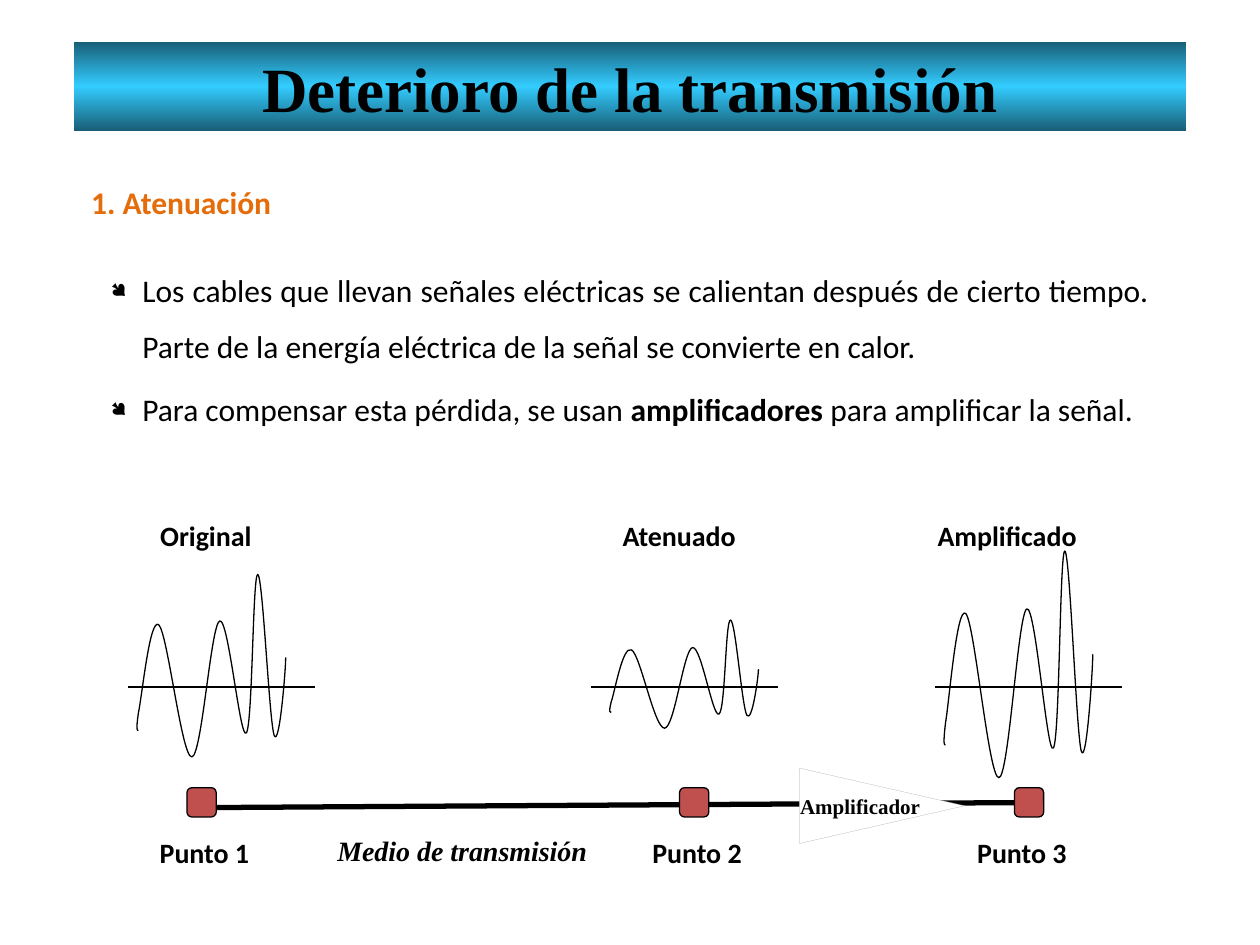
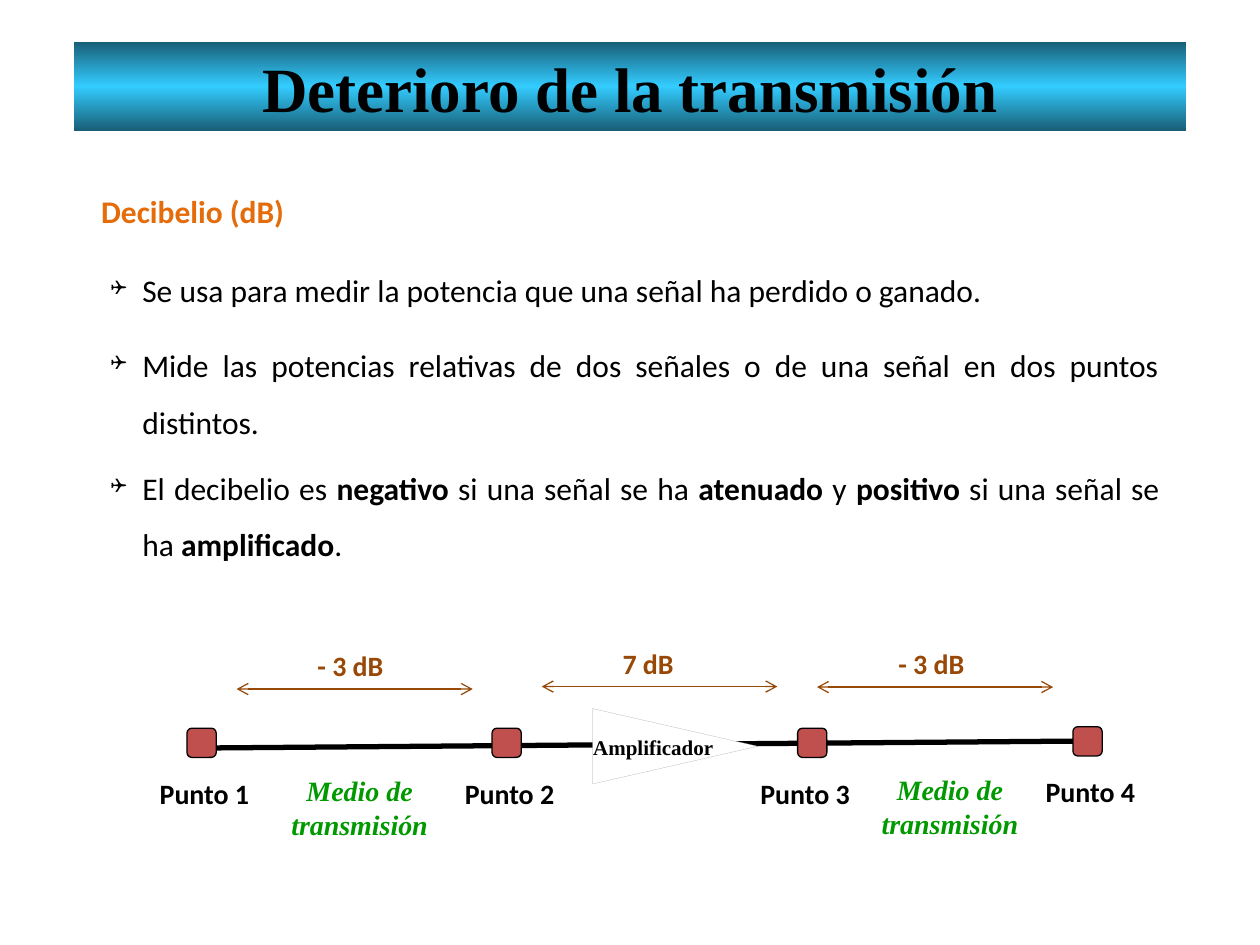
from copy import deepcopy
from pptx import Presentation
from pptx.dml.color import RGBColor
from pptx.enum.shapes import MSO_CONNECTOR, MSO_SHAPE
from pptx.enum.text import MSO_ANCHOR, PP_ALIGN
from pptx.oxml.ns import qn
from pptx.oxml.xmlchemy import OxmlElement
from pptx.util import Cm, Pt

SANS, SERIF = "Calibri", "Times New Roman"
BLACK, WHITE, GRAY = "000000", "FFFFFF", "A6A6A6"
ORANGE, BROWN, GREEN, RED = "E46C0A", "984807", "009900", "C0504D"
BAND = [(0, "185E76"), (0.5, "33CCFF"), (1, "185E76")]

# Signal curve: start point, then Bezier triples, on a 118 x 145 grid
START = (2, 124)
CURVE = [
    (1, 124), (0, 124), (2, 110),
    (5, 96), (11, 34), (18, 40),
    (25, 46), (36, 145), (44, 145),
    (52, 145), (59, 40), (66, 37),
    (73, 34), (82, 132), (87, 126),
    (92, 120), (92, 0), (96, 0),
    (100, 0), (105, 117), (109, 128),
    (113, 138), (118, 76), (118, 66),
]


def paint(code):
    return RGBColor.from_string(code)


def add_child(parent, tag, **attrs):
    child = OxmlElement(tag)
    for key, value in attrs.items():
        child.set(key, value)
    parent.append(child)
    return child


def write(frame, text, size=16, font=SANS, color=BLACK, bold=True,
          slant=False, align=PP_ALIGN.LEFT, space=None, hang=False, mark=None):
    """Fill a text frame; parts between ** are bold."""
    frame.word_wrap = True
    para = frame.paragraphs[0]
    para.alignment = align
    para.line_spacing = space
    props = para._p.get_or_add_pPr()
    if hang:
        props.set("marL", str(Cm(0.64)))
        props.set("indent", str(-Cm(0.64)))
    if mark:
        tint = add_child(props, "a:buClr")
        add_child(tint, "a:srgbClr", val=BLACK)
        add_child(props, "a:buSzPct", val="65000")
        add_child(props, "a:buFont", typeface="Wingdings")
        add_child(props, "a:buChar", char=mark)
    for i, part in enumerate(text.split("**")):
        run = para.add_run()
        run.text = part
        run.font.size, run.font.name = Pt(size), font
        run.font.bold, run.font.italic = bold or i % 2 == 1, slant
        run.font.color.rgb = paint(color)


def bend(shape):
    """Turn each three line segments of an outline into one Bezier curve."""
    trail = shape._element.spPr.find(".//" + qn("a:path"))
    lines = trail.findall(qn("a:lnTo"))
    for i in range(0, len(lines), 3):
        curve = add_child(trail, "a:cubicBezTo")
        for line in lines[i:i + 3]:
            curve.append(line[0])
            trail.remove(line)


class Deck:
    def __init__(self):
        self.show = Presentation()
        self.show.slide_width, self.show.slide_height = Cm(25.4), Cm(19.05)

    def start(self, title):
        """Open a slide with its title band."""
        self.slide = self.show.slides.add_slide(self.show.slide_layouts[6])
        band = self.shape(MSO_SHAPE.RECTANGLE, 1.49, 0.84, 22.42, 1.8)
        band.line.fill.background()
        band.fill.gradient()
        band.fill.gradient_angle = 90
        stops = band._element.spPr.find(".//" + qn("a:gsLst"))
        stops.insert(1, deepcopy(stops[0]))
        for stop, (place, color) in zip(band.fill.gradient_stops, BAND):
            stop.position = place
            stop.color.rgb = paint(color)
        band.text_frame.vertical_anchor = MSO_ANCHOR.BOTTOM
        write(band.text_frame, title, size=36, font=SERIF, align=PP_ALIGN.CENTER)

    def dress(self, shape, fill=WHITE, line=BLACK, width=0.75):
        shape.shadow.inherit = False
        shape.fill.solid()
        shape.fill.fore_color.rgb = paint(fill)
        shape.line.color.rgb = paint(line)
        shape.line.width = Pt(width)

    def shape(self, kind, x, y, w, h, **look):
        shape = self.slide.shapes.add_shape(kind, Cm(x), Cm(y), Cm(w), Cm(h))
        self.dress(shape, **look)
        return shape

    def text(self, text, x, y, w, h=0.94, **style):
        box = self.slide.shapes.add_textbox(Cm(x), Cm(y), Cm(w), Cm(h))
        write(box.text_frame, text, **style)

    def head(self, text, x, y, w):
        self.text(text, x, y, w, 1.27, size=18, color=ORANGE,
                  align=PP_ALIGN.JUSTIFY, space=1.5, hang=True)

    def point(self, text, y, w, mark, h=2.57):
        self.text(text, 1.98, y, w, h, size=18, bold=False,
                  align=PP_ALIGN.JUSTIFY, space=1.5, hang=True, mark=mark)

    def line(self, x1, y1, x2, y2, color=BLACK, width=0.75, arrows=False):
        line = self.slide.shapes.add_connector(
            MSO_CONNECTOR.STRAIGHT, Cm(x1), Cm(y1), Cm(x2), Cm(y2))
        line.line.color.rgb = paint(color)
        line.line.width = Pt(width)
        if arrows:
            for tag in ("a:headEnd", "a:tailEnd"):
                add_child(line.line._get_or_add_ln(), tag, type="arrow")
        add_child(line._element.spPr, "a:effectLst")

    def wave(self, x, y, h):
        def spot(p):
            return Cm(x + p[0] * 3.02 / 118), Cm(y + p[1] * h / 145)
        pen = self.slide.shapes.build_freeform(*spot(START))
        pen.add_line_segments([spot(p) for p in CURVE], close=False)
        shape = pen.convert_to_shape()
        bend(shape)
        self.dress(shape)

    def node(self, text, x, y, shift=0.8):
        self.shape(MSO_SHAPE.ROUNDED_RECTANGLE, x, y, 0.59, 0.59, fill=RED)
        self.text(text, x - shift, y + 0.84, 2.77)

    def amp(self, x, y):
        cone = self.shape(MSO_SHAPE.ISOSCELES_TRIANGLE, x + 1.14, y - 1.3,
                          1.52, 3.33, line=GRAY, width=0.1)
        cone.rotation = 90
        self.text("Amplificador", x, y, 2.97, 0.76, size=12, font=SERIF)

    def gain(self, text, x1, x2, y, left, w=2.59):
        self.line(x1, y, x2, y, color=BROWN, arrows=True)
        self.text(text, left, y - 0.94, w, color=BROWN)


def main():
    deck = Deck()
    title = "Deterioro de la transmisión"

    # Slide 1: attenuation
    deck.start(title)
    deck.head("1. Atenuación", 1.59, 3.18, 4.78)
    deck.point("Los cables que llevan señales eléctricas se calientan después de "
               "cierto tiempo. Parte de la energía eléctrica de la señal se "
               "convierte en calor.", 4.95, 21.44, "●")
    deck.point("Para compensar esta pérdida, se usan **amplificadores** para "
               "amplificar la señal.", 7.36, 21.44, "●")
    for name, left, w, start, top, high, axis in [
            ("Original", 2.98, 2.77, 2.74, 11.58, 3.68, 2.59),
            ("Atenuado", 12.3, 3.38, 12.27, 12.5, 2.18, 11.91),
            ("Amplificado", 18.65, 4.17, 19.01, 11.11, 4.57, 18.85)]:
        deck.wave(start, top, high)
        deck.line(axis, 13.85, axis + 3.77, 13.85)
        deck.text(name, left, 10.32, w)
    deck.line(4.17, 16.28, 20.45, 16.18, width=3)
    deck.node("Punto 1", 3.77, 15.88)
    deck.node("Punto 2", 13.7, 15.88)
    deck.node("Punto 3", 20.45, 15.88, shift=1)
    deck.text("Medio de transmisión", 6.55, 16.67, 6.93, font=SERIF, slant=True)
    deck.amp(15.88, 15.88)

    # Slide 2: decibel
    deck.start(title)
    deck.head("Decibelio (dB)", 1.79, 3.37, 5.77)
    deck.point("Se usa para medir la potencia que una señal ha perdido o ganado.",
               4.95, 20.24, "❑", h=1.42)
    deck.point("Mide las potencias relativas de dos señales o de una señal en dos "
               "puntos distintos.", 6.47, 21.64, "❑")
    deck.point("El decibelio es **negativo** si una señal se ha **atenuado** y "
               "**positivo** si una señal se ha **amplificado**.",
               8.94, 21.64, "❑")
    deck.line(3.97, 15.08, 21.64, 14.94, width=3)
    deck.node("Punto 1", 3.77, 14.68)
    deck.node("Punto 2", 9.92, 14.68)
    deck.node("Punto 3", 16.08, 14.68, shift=1)
    deck.node("Punto 4", 21.63, 14.65)
    for x, y in [(5.56, 15.47), (17.46, 15.45)]:
        deck.text("Medio de transmisión", x, y, 3.38, 1.63, font=SERIF,
                  color=GREEN, slant=True, align=PP_ALIGN.CENTER)
    deck.amp(11.71, 14.68)
    deck.gain("- 3 dB", 4.77, 9.53, 13.89, 6.15)
    deck.gain("7 dB", 10.92, 15.67, 13.84, 12.3, w=1.98)
    deck.gain("- 3 dB", 16.47, 21.23, 13.85, 17.86)

    deck.show.save("out.pptx")


if __name__ == "__main__":
    main()
